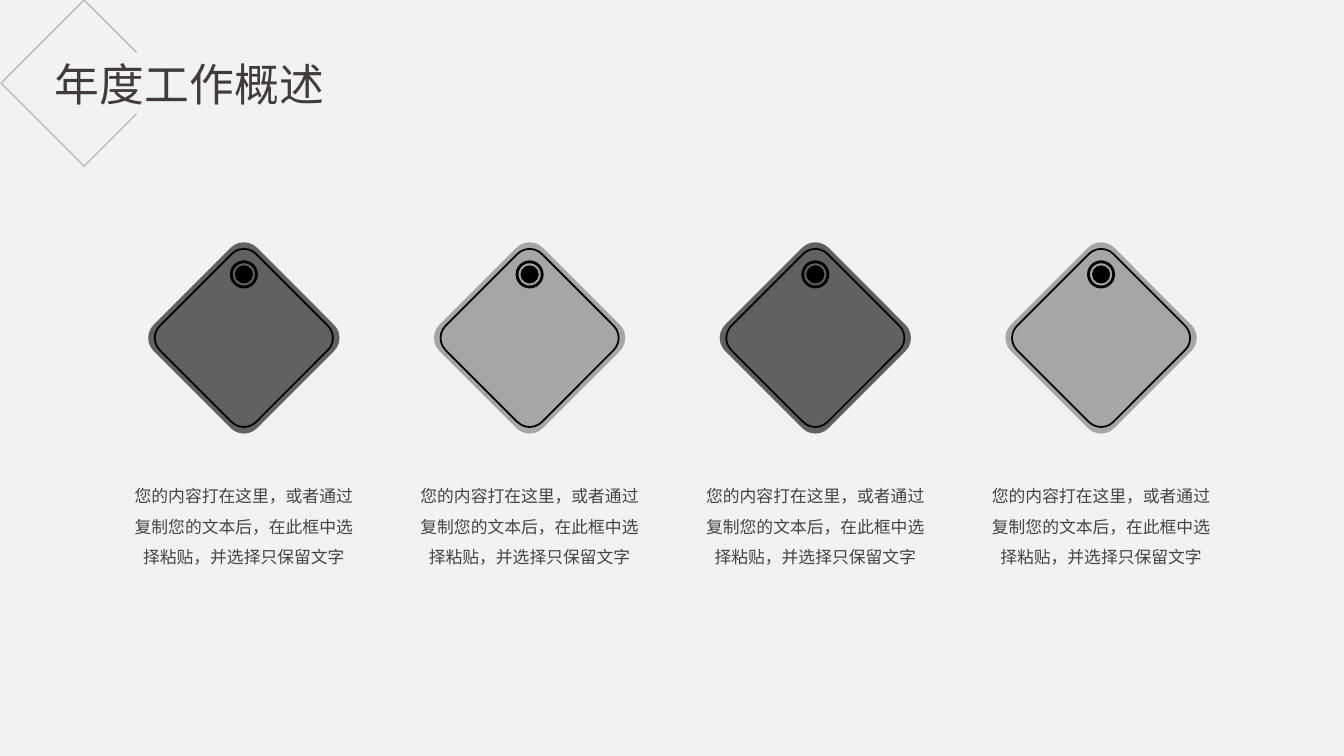
from lxml import etree
from pptx import Presentation
from pptx.dml.color import RGBColor
from pptx.enum import shapes, text
from pptx.oxml import ns
from pptx.util import Pt

FONT = "Noto Sans CJK SC"
TITLE = "年度工作概述"
CAPTION = "您的内容打在这里，或者通过复制您的文本后，在此框中选择粘贴，并选择只保留文字"
TAG_COLORS = ["616161", "A6A6A6", "616161", "A6A6A6"]
TAG_PITCH = 204.1


def set_color(color_format, value):
    """Give a fill's foreground or a font the colour of a hex string."""
    color_format.rgb = RGBColor.from_string(value)


def set_attributes(target, values):
    """Set every attribute named in a dict of format values."""
    for name, value in values.items():
        setattr(target, name, value)


def paint(shape, fill=None, line=None, width=1):
    """Give a shape a plain fill and line, either of which may be absent."""
    shape.shadow.inherit = False
    for target, value in ((shape.fill, fill), (shape.line.fill, line)):
        if value:
            target.solid()
            set_color(target.fore_color, value)
        else:
            target.background()
    if line:
        shape.line.width = Pt(width)


def write_text(shape, box, content, size, color, margins, spacing):
    """Place a text shape in its box and fill it with one centred paragraph."""
    set_attributes(shape, dict(zip(("left", "top", "width", "height"), map(Pt, box))))
    horizontal, vertical = map(Pt, margins)
    frame = shape.text_frame
    set_attributes(frame, {
        "word_wrap": True,
        "auto_size": text.MSO_AUTO_SIZE.SHAPE_TO_FIT_TEXT,
        "vertical_anchor": text.MSO_ANCHOR.TOP,
        "margin_left": horizontal, "margin_right": horizontal,
        "margin_top": vertical, "margin_bottom": vertical,
    })
    paragraph = frame.paragraphs[0]
    set_attributes(paragraph, {"alignment": text.PP_ALIGN.CENTER, "line_spacing": spacing})
    run = paragraph.add_run()
    run.text = content
    set_attributes(run.font, {"size": Pt(size), "name": FONT})
    set_color(run.font.color, color)
    etree.SubElement(run._r.get_or_add_rPr(), ns.qn("a:ea"), typeface=FONT)


def add_header(slide, left, top, size):
    """Draw the open diamond in its square box and set the title across it."""
    half, gap = size / 2, 37.5
    right = left + half + gap
    points = [(right, top + gap), (left + half, top), (left, top + half),
              (left + half, top + size), (right, top + size - gap)]
    points = [(Pt(x), Pt(y)) for x, y in points]
    builder = slide.shapes.build_freeform(*points[0])
    builder.add_line_segments(points[1:], close=False)
    diamond = builder.convert_to_shape()
    paint(diamond, line="808080")
    line_color = diamond.line._ln.find(".//" + ns.qn("a:srgbClr"))
    etree.SubElement(line_color, ns.qn("a:alpha"), val="45000")
    title_box = (left + 26, top + 36.7, 217.4, 46)
    write_text(slide.shapes.title, title_box, TITLE, 32, "413B39", (7.2, 3.6), 1)


def add_tag(slide, center_x, center_y, color):
    """Draw one hanging tag around its centre, with its caption below."""
    group = slide.shapes.add_group_shape()
    square, circle = shapes.MSO_SHAPE.ROUNDED_RECTANGLE, shapes.MSO_SHAPE.OVAL
    hole_y = center_y - 45.4
    parts = [
        (square, center_y, 104.4, {"fill": color}),
        (square, center_y, 97.2, {"line": "000000", "width": 1.25}),
        (circle, hole_y, 13, {"fill": "000000"}),
        (circle, hole_y, 18, {"line": "000000", "width": 2}),
    ]
    for kind, middle, size, style in parts:
        shape = group.shapes.add_shape(
            kind, Pt(center_x - size / 2), Pt(middle - size / 2), Pt(size), Pt(size))
        paint(shape, **style)
        if kind == square:
            shape.rotation = 45
            shape.adjustments[0] = 0.127
    box = (center_x - 78.5, center_y + 98.6, 157, 62.6)
    caption = slide.shapes.add_textbox(*map(Pt, box))
    write_text(caption, box, CAPTION, 12, "444444", (0, 0), 1.5)


def main():
    """Build the overview slide and save it."""
    presentation = Presentation()
    set_attributes(presentation, {"slide_width": Pt(960), "slide_height": Pt(540)})
    slide = presentation.slides.add_slide(presentation.slide_layouts[5])
    background = slide.background.fill
    background.solid()
    set_color(background.fore_color, "F2F2F2")
    add_header(slide, 0.7, 0, 118.8)
    for index, color in enumerate(TAG_COLORS):
        add_tag(slide, 174.2 + index * TAG_PITCH, 241.4, color)
    presentation.save("out.pptx")


if __name__ == "__main__":
    main()
